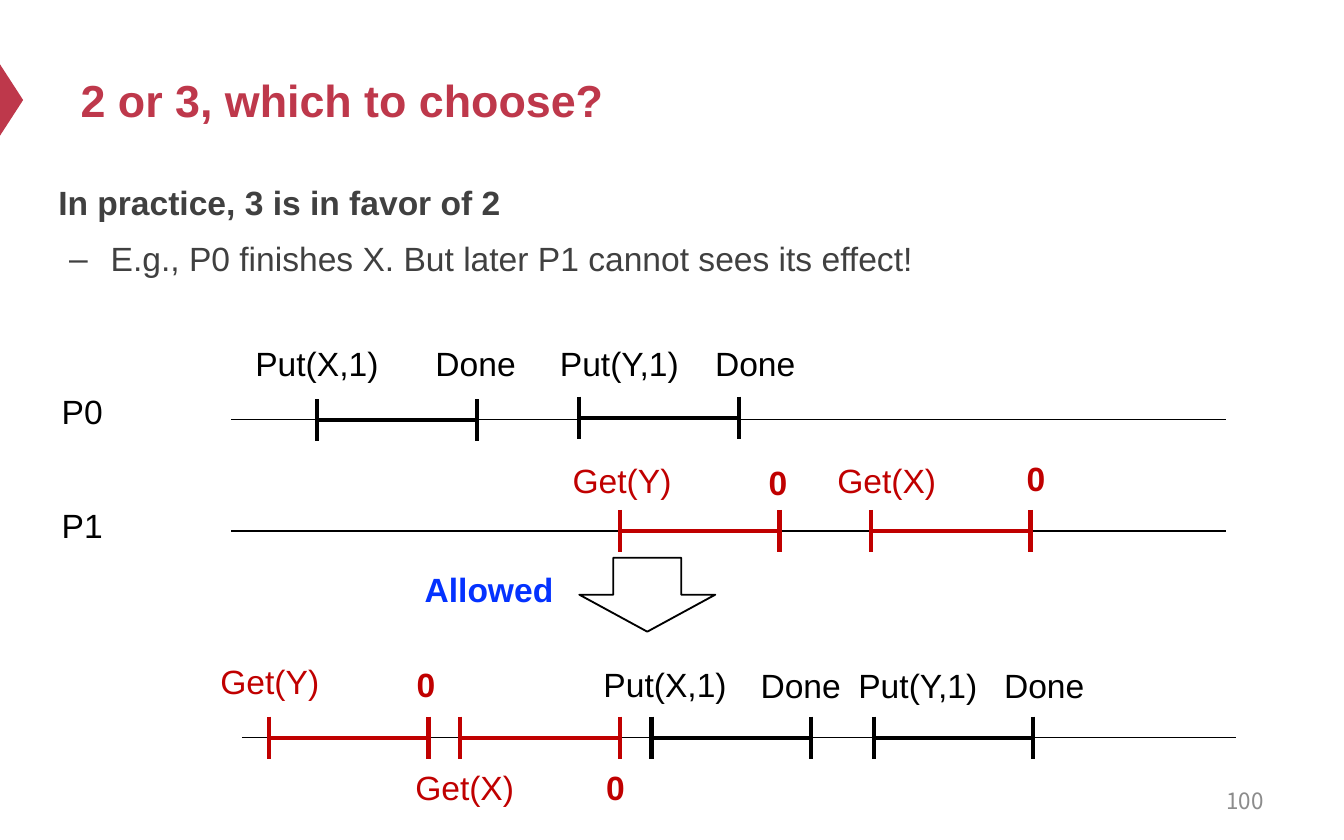
from lxml.etree import SubElement
from pptx import Presentation
from pptx.dml.color import RGBColor
from pptx.enum.shapes import MSO_CONNECTOR as Connector, MSO_SHAPE as Shape
from pptx.enum.text import MSO_ANCHOR as Anchor, MSO_AUTO_SIZE as AutoSize, PP_ALIGN as Align
from pptx.oxml.ns import qn
from pptx.util import Pt

COLORS = {"accent": "BE384B", "body": "404040", "number": "8C8C8C",
          "put": "000000", "get": "C00000", "verdict": "0432FF"}

TITLE = "2 or 3, which to choose?"
CLAIM = "In practice, 3 is in favor of 2"
EXAMPLE = "E.g., P0 finishes X. But later P1 cannot sees its effect!"
PAGE_NUMBER = "100"
VERDICT = ("Allowed", 216, 301)
PROCESSES = [("P0", 206), ("P1", 267)]

# Each operation: kind, start, middle height, then its call and result as (text, left, top)
TIMELINES = [
    {"left": 123.8, "y": 224.8, "operations": [
        ("put", 170, 225.2, ("Put(X,1)", 123.8, 180), ("Done", 208.8, 180)),
        ("put", 310.4, 223.8, ("Put(Y,1)", 285.8, 180), ("Done", 358.6, 180))]},
    {"left": 123.8, "y": 284.4, "operations": [
        ("get", 332, 284.4, ("Get(Y)", 287.3, 242.6), ("0", 370.8, 244.1)),
        ("get", 466.5, 284.4, ("Get(X)", 429.1, 242.6), ("0", 509, 241.9))]},
    {"left": 129.6, "y": 395.2, "operations": [
        ("get", 144, 395.2, ("Get(Y)", 98.6, 350.6), ("0", 182.2, 352.1)),
        ("get", 246.4, 395.2, ("Get(X)", 203, 407.5), ("0", 283.7, 407.5)),
        ("put", 349, 395.2, ("Put(X,1)", 310.3, 352.1), ("Done", 383, 352.8)),
        ("put", 468, 395.2, ("Put(Y,1)", 445.7, 352.8), ("Done", 513.4, 352.8))]},
]
TIMELINE_LENGTH, DURATION, HALF_TICK = 532.8, 85.6, 11.25
LABEL_WIDTH, LABEL_HEIGHT = 92, 29


def rgb(color):
    """Return the palette colour with the given name."""
    return RGBColor.from_string(COLORS[color])


def write(paragraph, text, size=18, color="put", bold=False, align=Align.LEFT, font="Arial"):
    """Put formatted text into a paragraph."""
    paragraph.alignment = align
    run = paragraph.add_run()
    run.text = text
    run.font.name, run.font.size, run.font.bold = font, Pt(size), bold
    run.font.color.rgb = rgb(color)


def place(shape, left, top, width, height):
    """Move and size a shape in points."""
    shape.left, shape.top, shape.width, shape.height = map(Pt, (left, top, width, height))


def add_label(slide, text, left, top, width=LABEL_WIDTH, height=LABEL_HEIGHT, **style):
    """Add a text box that grows with its text."""
    frame = slide.shapes.add_textbox(Pt(left), Pt(top), Pt(width), Pt(height)).text_frame
    frame.word_wrap = True
    frame.auto_size = AutoSize.SHAPE_TO_FIT_TEXT
    write(frame.paragraphs[0], text, **style)
    return frame


def add_line(slide, x1, y1, x2, y2, color="put", weight=2.25):
    """Add a straight line without a shadow."""
    line = slide.shapes.add_connector(Connector.STRAIGHT, Pt(x1), Pt(y1), Pt(x2), Pt(y2))
    line.line.color.rgb = rgb(color)
    line.line.width = Pt(weight)
    SubElement(line._element.spPr, qn("a:effectLst"))


def add_operation(slide, kind, start, y, call, result):
    """Add a bar with end ticks and the labels of its call and result."""
    end = start + DURATION
    for x in (start, end):
        add_line(slide, x, y - HALF_TICK, x, y + HALF_TICK, kind)
    add_line(slide, start, y, end, y, kind)
    add_label(slide, *call, color=kind, align=Align.CENTER)
    add_label(slide, *result, color=kind, bold=kind == "get", align=Align.CENTER)


def add_heading(slide):
    """Fill the title and body placeholders and add the edge marker."""
    marker = slide.shapes.add_shape(Shape.ISOSCELES_TRIANGLE, Pt(-12.9), Pt(47.4), Pt(38.2), Pt(12.4))
    marker.rotation = 90
    marker.shadow.inherit = False
    marker.fill.solid()
    marker.fill.fore_color.rgb = rgb("accent")
    marker.line.fill.background()

    title, body = slide.placeholders
    place(title, 36, 18, 648, 70.6)
    title.text_frame.vertical_anchor = Anchor.MIDDLE
    title.text_frame.auto_size = AutoSize.NONE
    write(title.text_frame.paragraphs[0], TITLE, size=24, color="accent", bold=True)

    place(body, 24, 89.3, 648, 76.3)
    frame = body.text_frame
    frame.auto_size = AutoSize.NONE
    frame.vertical_anchor = Anchor.TOP
    claim, example = frame.paragraphs[0], frame.add_paragraph()
    example.level = 1
    for paragraph, margin, indent, before, bullet in (
            (claim, 0, 0, 0, None), (example, 28.1, -22.3, 4.5, "–")):
        paragraph.line_spacing = 1.2
        paragraph.space_before = Pt(before)
        properties = paragraph._p.get_or_add_pPr()
        properties.set("marL", str(Pt(margin)))
        properties.set("indent", str(Pt(indent)))
        if bullet:
            SubElement(properties, qn("a:buChar"), char=bullet)
        else:
            SubElement(properties, qn("a:buNone"))
    write(claim, CLAIM, color="body", bold=True)
    write(example, EXAMPLE, color="body")


def main():
    """Build the slide and save it."""
    deck = Presentation()
    deck.slide_width, deck.slide_height = Pt(720), Pt(450)
    slide = deck.slides.add_slide(deck.slide_layouts[1])
    add_heading(slide)

    for process, top in PROCESSES:
        add_label(slide, process, 26, top, width=51)
    for timeline in TIMELINES:
        left, y = timeline["left"], timeline["y"]
        add_line(slide, left, y, left + TIMELINE_LENGTH, y, weight=0.75)
        for operation in timeline["operations"]:
            add_operation(slide, *operation)

    arrow = slide.shapes.add_shape(Shape.DOWN_ARROW, Pt(310.4), Pt(298.8), Pt(72.8), Pt(39.6))
    arrow.shadow.inherit = False
    arrow.fill.background()
    arrow.line.color.rgb = rgb("put")
    arrow.line.width = Pt(1)
    add_label(slide, *VERDICT, color="verdict", bold=True, align=Align.CENTER)

    number = add_label(slide, PAGE_NUMBER, 516, 417, width=168, height=24, size=12,
                       color="number", align=Align.RIGHT, font="Noto Sans CJK SC")
    number.auto_size = AutoSize.NONE
    number.vertical_anchor = Anchor.MIDDLE
    deck.save("out.pptx")


if __name__ == "__main__":
    main()
